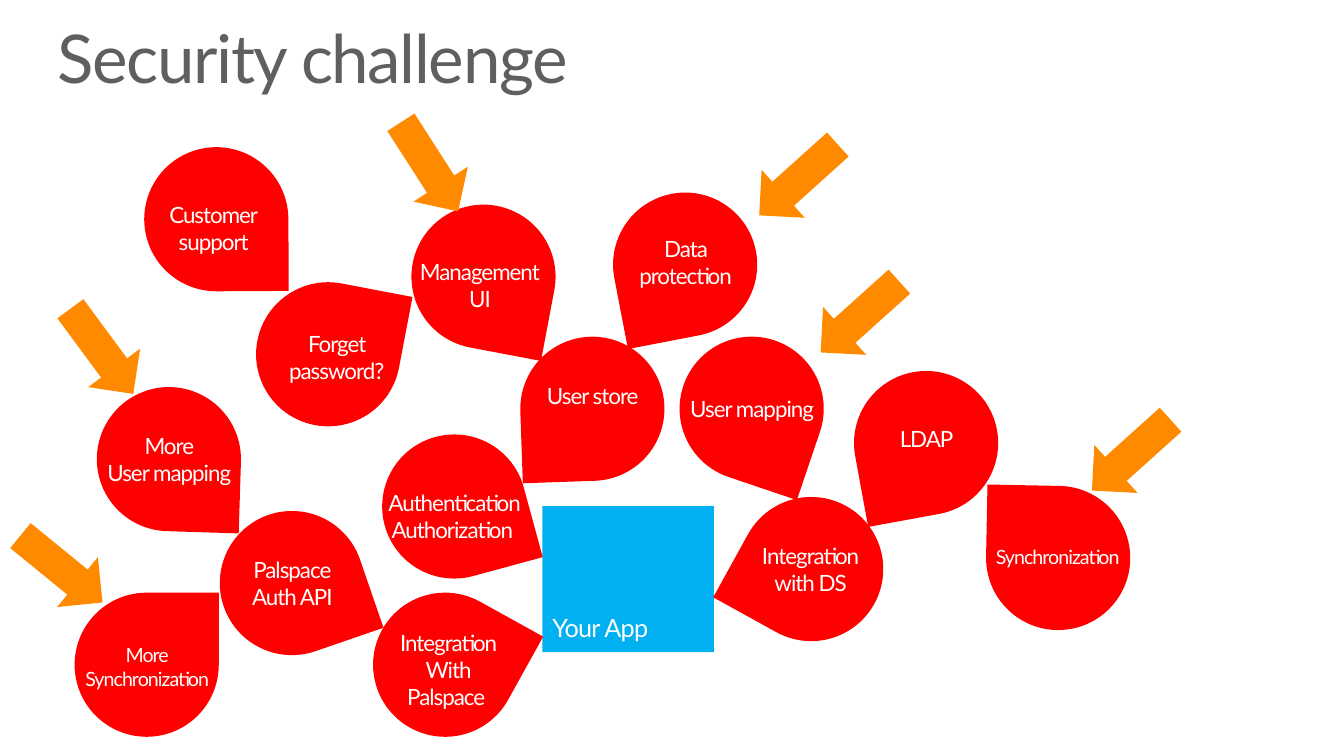
import dataclasses

import pptx
import pptx.dml.color
import pptx.enum.shapes
import pptx.enum.text
import pptx.util

Inches = pptx.util.Inches
Shape = pptx.enum.shapes.MSO_SHAPE
Align = pptx.enum.text.PP_ALIGN
Anchor = pptx.enum.text.MSO_ANCHOR


@dataclasses.dataclass
class Theme:
    font: str = "Lato"
    grey: str = "5F5F5F"
    white: str = "FFFFFF"
    red: str = "FF0000"
    blue: str = "00B0F0"
    orange: str = "FF8A00"
    title: int = 48
    app: int = 18
    label: int = 16
    small: int = 14


DROP = 1.43
LABEL = 1.34
ARROW = (0.64, 1.05)

# left, top, turn, label left, label top, lines
DROPS = [
    (3.79, 4.31, 74.8, 3.84, 4.85, ["Authentication", "Authorization "]),
    (5.16, 3.34, 178, 5.21, 3.79, ["User store"]),
    (4.08, 2.03, 100.7, 4.09, 2.56, ["Management", "UI"]),
    (2.54, 2.8, 10.8, 2.67, 3.28, ["Forget password?"]),
    (1.43, 1.46, 89.7, 1.45, 2, ["Customer", "support"]),
    (6.08, 1.91, 169.1, 6.13, 2.33, ["Data protection"]),
    (7.33, 4.93, 208.9, 7.37, 5.38, ["Integration", "with DS"]),
    (8.47, 3.68, 169.6, 8.52, 4.22, ["LDAP"]),
    (6.74, 3.34, 108.7, 6.79, 3.92, ["User mapping"]),
    (9.78, 4.82, 271.1, 9.82, 5.41, ["Synchronization"]),
    (3.7, 5.88, 29, 3.78, 6.24, ["Integration", "With", "Palspace "]),
    (0.96, 3.84, 91.8, 1.01, 4.29, ["More", "User mapping"]),
    (2.18, 5.07, 71, 2.23, 5.52, ["Palspace", "Auth API"]),
    (0.74, 5.88, 0, 0.79, 6.38, ["More", "Synchronization"]),
]

# left, top, turn
ARROWS = [
    (8.21, 2.62, 48),
    (7.6, 1.26, 48),
    (10.9, 3.99, 48),
    (3.94, 1.13, 327.3),
    (0.69, 2.96, 323.6),
    (0.29, 5.12, 309.2),
]


class Sheet:
    def __init__(self, slide, theme):
        self.slide = slide
        self.theme = theme

    def shape(self, kind, left, top, width, height, fill, turn=0):
        item = self.slide.shapes.add_shape(
            kind, Inches(left), Inches(top), Inches(width), Inches(height))
        item.rotation = turn
        item.shadow.inherit = False
        item.fill.solid()
        item.fill.fore_color.rgb = pptx.dml.color.RGBColor.from_string(fill)
        item.line.fill.background()
        return item

    def label(self, frame, lines, size, color, align, track, inset=(0, 0, 0, 0)):
        """Fill a text frame; track is letter spacing in points, inset is left, top, right, bottom."""
        frame.word_wrap = True
        (frame.margin_left, frame.margin_top,
         frame.margin_right, frame.margin_bottom) = map(Inches, inset)
        frame.text = "\n".join(lines)
        for para in frame.paragraphs:
            para.alignment = align
            for run in para.runs:
                run.font.name = self.theme.font
                run.font.size = pptx.util.Pt(size)
                run.font.color.rgb = pptx.dml.color.RGBColor.from_string(color)
                run._r.get_or_add_rPr().set("spc", str(round(track * 100)))

    def text(self, left, top, width, height, lines, size, color, align, track):
        box = self.slide.shapes.add_textbox(
            Inches(left), Inches(top), Inches(width), Inches(height))
        self.label(box.text_frame, lines, size, color, align, track)
        return box

    def title(self, words):
        box = self.text(0.57, 0.25, 12.76, 0.73, [words], self.theme.title,
                        self.theme.grey, Align.LEFT, -1)
        box.text_frame.paragraphs[0].line_spacing = 0.9

    def app(self, words):
        box = self.shape(Shape.RECTANGLE, 5.38, 5.02, 1.7, 1.45, self.theme.blue)
        box.text_frame.vertical_anchor = Anchor.BOTTOM
        self.label(box.text_frame, [words], self.theme.app, self.theme.white,
                   Align.LEFT, -0.5, (0.1, 0.05, 0.05, 0.1))

    def drop(self, left, top, turn, text_left, text_top, lines):
        self.shape(Shape.TEAR, left, top, DROP, DROP, self.theme.red, turn)
        small = "Synchronization" in lines
        size = self.theme.small if small else self.theme.label
        self.text(text_left, text_top, LABEL, 0.27 * len(lines), lines, size,
                  self.theme.white, Align.CENTER, -0.7)

    def arrow(self, left, top, turn):
        self.shape(Shape.DOWN_ARROW, left, top, *ARROW, self.theme.orange, turn)


def main():
    deck = pptx.Presentation()
    deck.slide_width = Inches(13.33)
    deck.slide_height = Inches(7.5)
    sheet = Sheet(deck.slides.add_slide(deck.slide_layouts[6]), Theme())
    sheet.title("Security challenge")
    sheet.app("Your App")
    for drop in DROPS:
        sheet.drop(*drop)
    for arrow in ARROWS:
        sheet.arrow(*arrow)
    deck.save("out.pptx")


if __name__ == "__main__":
    main()
